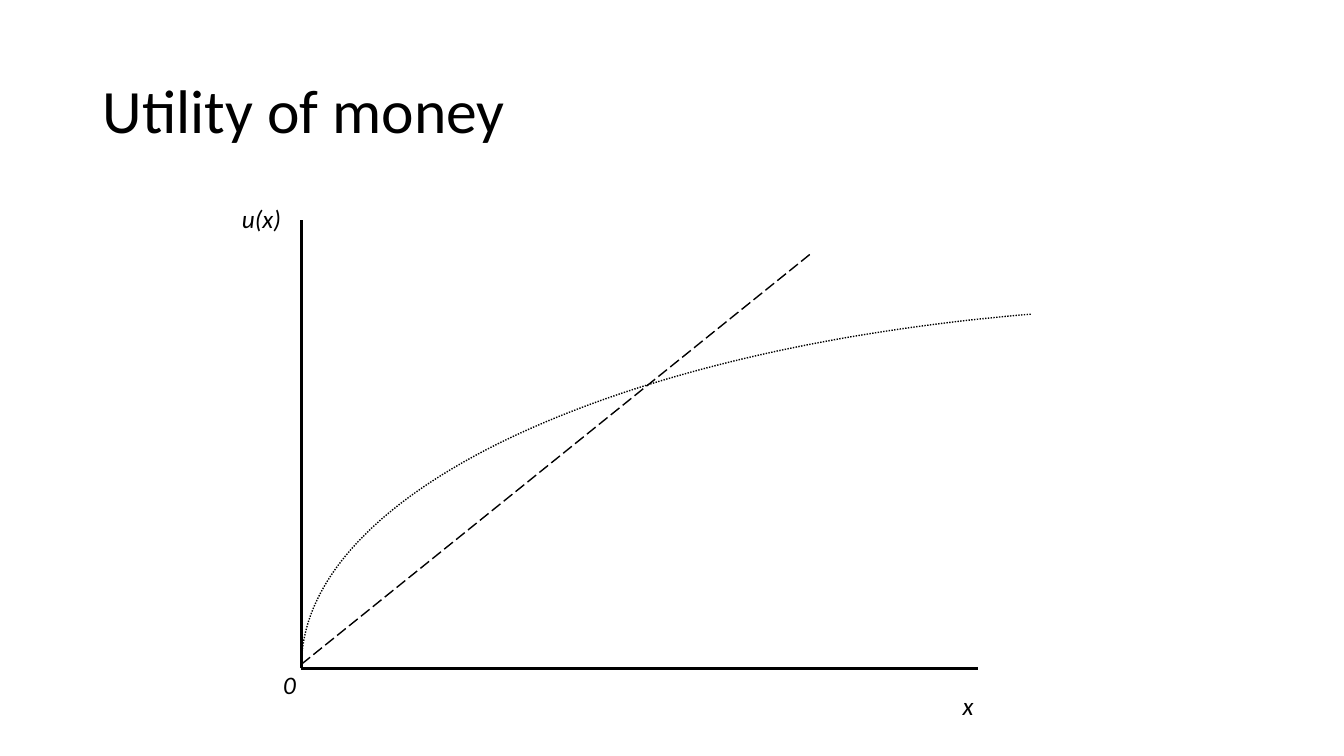
from dataclasses import dataclass

from lxml import etree
from pptx import Presentation
from pptx.dml.color import RGBColor
from pptx.enum.dml import MSO_LINE
from pptx.enum.shapes import MSO_CONNECTOR, MSO_SHAPE
from pptx.enum.text import MSO_ANCHOR, MSO_AUTO_SIZE, PP_ALIGN
from pptx.oxml.ns import qn
from pptx.util import Inches, Pt

STRAIGHT = MSO_CONNECTOR.STRAIGHT
ARC = MSO_SHAPE.ARC
LONG_DASH = MSO_LINE.LONG_DASH
ROUND_DOT = MSO_LINE.ROUND_DOT
MIDDLE = MSO_ANCHOR.MIDDLE
LEFT = PP_ALIGN.LEFT
FIT_SHAPE = MSO_AUTO_SIZE.SHAPE_TO_FIT_TEXT
TITLE_ONLY = 5


@dataclass(frozen=True)
class Theme:
    font: str = "Calibri"
    ink: RGBColor = RGBColor(0, 0, 0)
    title_size: int = 44
    label_size: int = 18
    axis_width: int = 2
    curve_width: int = 1


def write(tf, text, theme, size, italic=False, spacing=None):
    tf.word_wrap = True
    p = tf.paragraphs[0]
    p.alignment = LEFT
    p.line_spacing = spacing
    r = p.add_run()
    r.text = text
    r.font.name = theme.font
    r.font.size = Pt(size)
    r.font.italic = italic
    r.font.color.rgb = theme.ink


class SlideBuilder:
    def __init__(self, s, theme):
        self.s = s
        self.theme = theme

    def title(self, text, left, top, width, height):
        sp = self.s.shapes.title
        sp.left, sp.top = Inches(left), Inches(top)
        sp.width, sp.height = Inches(width), Inches(height)
        sp.text_frame.vertical_anchor = MIDDLE
        write(sp.text_frame, text, self.theme, self.theme.title_size, spacing=0.9)

    def label(self, text, left, top, width, height=0.41):
        sp = self.s.shapes.add_textbox(
            Inches(left), Inches(top), Inches(width), Inches(height))
        write(sp.text_frame, text, self.theme, self.theme.label_size, italic=True)
        sp.text_frame.auto_size = FIT_SHAPE

    def stroke(self, sp, width, dash=None):
        sp.line.color.rgb = self.theme.ink
        sp.line.width = Pt(width)
        sp.line.dash_style = dash

    def line(self, start, end, width, dash=None, shapes=None):
        shapes = self.s.shapes if shapes is None else shapes
        x1, y1, x2, y2 = (Inches(v) for v in (*start, *end))
        sp = shapes.add_connector(STRAIGHT, x1, y1, x2, y2)
        self.stroke(sp, width, dash)
        etree.SubElement(sp._element.spPr, qn("a:effectLst"))

    def axes(self, origin, top, right):
        shapes = self.s.shapes.add_group_shape().shapes
        x, y = origin
        for end in ((x, top), (right, y)):
            self.line(origin, end, self.theme.axis_width, shapes=shapes)

    def arc(self, left, top, width, height, start):
        sp = self.s.shapes.add_shape(
            ARC, Inches(left), Inches(top), Inches(width), Inches(height))
        sp.shadow.inherit = False
        sp.fill.background()
        sp.adjustments[0] = start
        sp.adjustments[1] = 0
        sp._element.spPr.get_or_add_xfrm().set("flipH", "1")
        self.stroke(sp, self.theme.curve_width, ROUND_DOT)


def main():
    prs = Presentation()
    prs.slide_width, prs.slide_height = Inches(13.33), Inches(7.5)
    theme = Theme()
    s = prs.slides.add_slide(prs.slide_layouts[TITLE_ONLY])
    slide = SlideBuilder(s, theme)
    axis_x = 2.99

    slide.title("Utility of money", 0.92, 0.4, 11.5, 1.45)
    slide.axes((axis_x, 6.63), top=2.18, right=9.7)
    slide.label("x", 9.45, 6.8, 0.55)
    slide.label("u(x)", 2.3, 1.97, 0.68)
    slide.label("0", 2.71, 6.59, 0.55)
    slide.line((axis_x, 6.59), (8.05, 2.51), theme.curve_width, LONG_DASH)
    slide.arc(axis_x, 3.04, 18.25, 7.13, start=179.09)
    prs.save("out.pptx")


if __name__ == "__main__":
    main()
